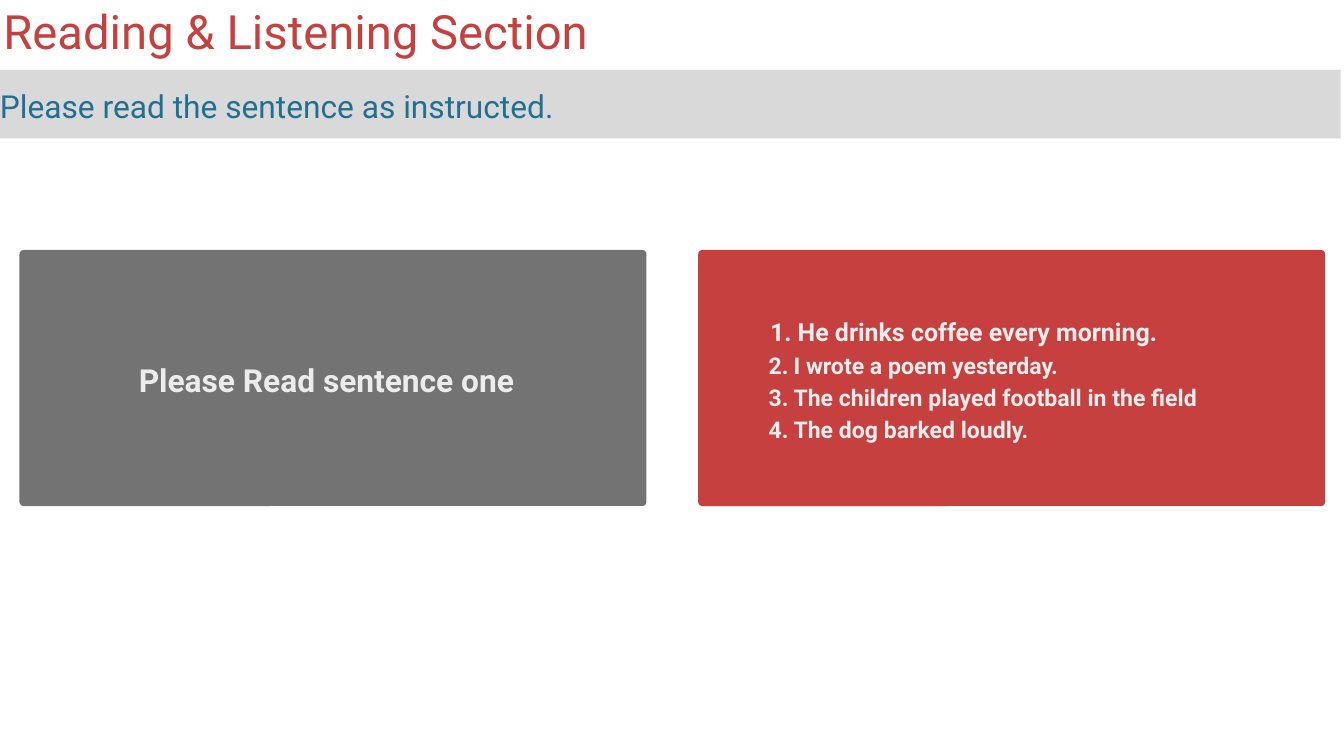
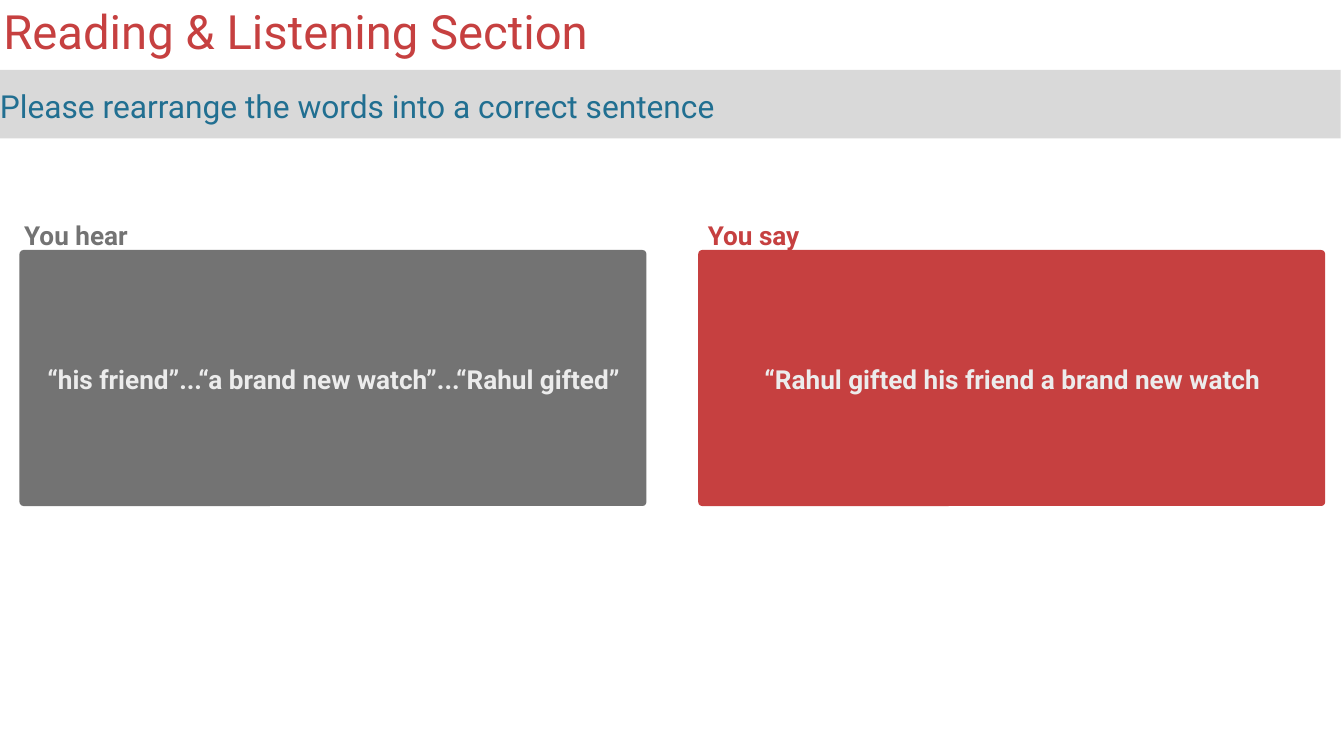
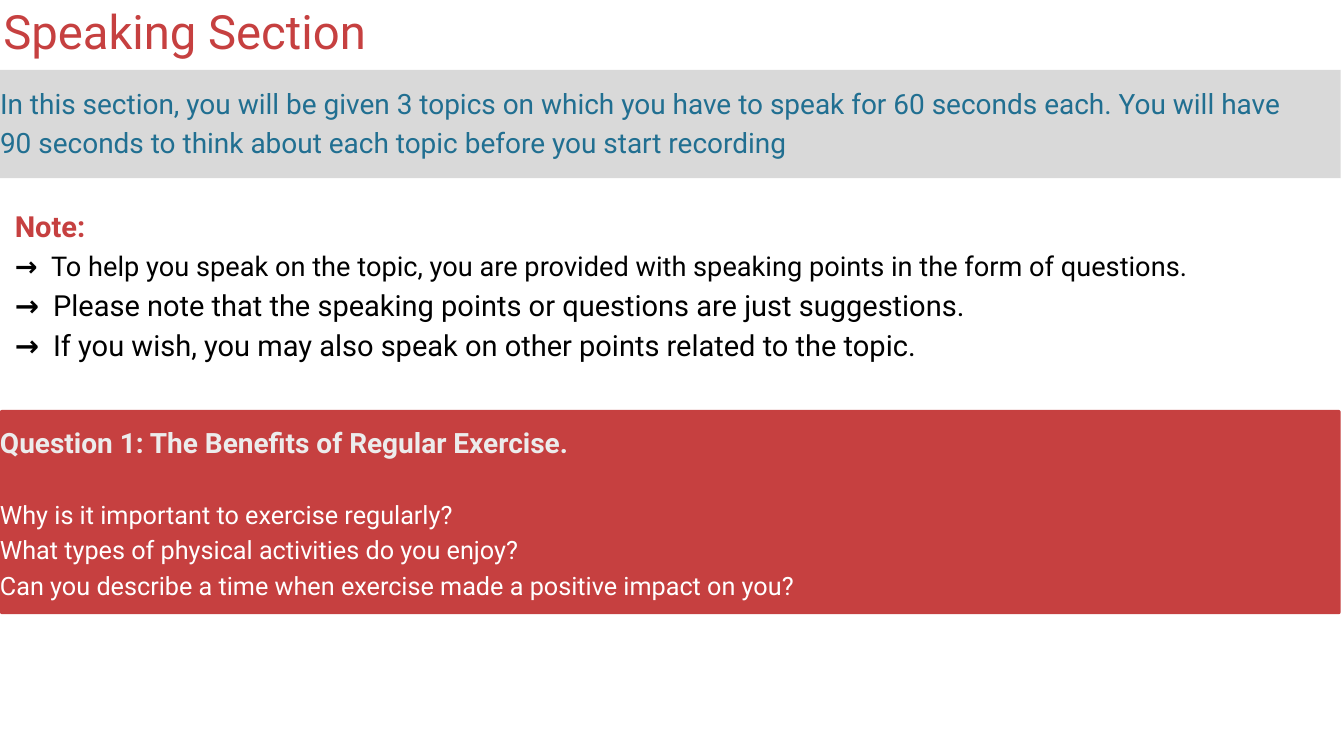
from pptx import Presentation
from pptx.dml.color import RGBColor
from pptx.enum.shapes import MSO_SHAPE
from pptx.enum.text import MSO_AUTO_SIZE, PP_ALIGN
from pptx.oxml.ns import qn
from pptx.util import Pt
from lxml import etree

PX = 9144
FONT = "Roboto"
RECT = MSO_SHAPE.RECTANGLE
ROUNDED = MSO_SHAPE.ROUNDED_RECTANGLE
FIT = MSO_AUTO_SIZE.SHAPE_TO_FIT_TEXT
LEFT = PP_ALIGN.LEFT
CENTER = PP_ALIGN.CENTER
COLORS = {
    "red": "C64040",
    "gray": "737373",
    "band": "D9D9D9",
    "blue": "216F91",
    "pale": "ECECEC",
    "white": "FFFFFF",
    "black": "000000",
}


def add_box(s, kind, box, color, radius=0):
    sp = s.shapes.add_shape(kind, *[v * PX for v in box])
    sp.shadow.inherit = False
    sp.fill.solid()
    sp.fill.fore_color.rgb = RGBColor.from_string(COLORS[color])
    sp.line.fill.background()
    if radius:
        sp.adjustments[0] = radius / min(box[2:])


def add_text(s, box, paragraphs, align=LEFT):
    tf = s.shapes.add_textbox(*[v * PX for v in box]).text_frame
    tf.word_wrap = True
    tf.auto_size = FIT
    tf.margin_left = tf.margin_top = tf.margin_right = tf.margin_bottom = 0
    for i, (spacing, runs) in enumerate(paragraphs):
        p = tf.add_paragraph() if i else tf.paragraphs[0]
        p.alignment = align
        p.line_spacing = Pt(spacing)
        for text, size, color, bold in runs:
            r = p.add_run()
            r.text = text
            r.font.name = FONT
            r.font.size = Pt(size)
            r.font.bold = bold
            r.font.color.rgb = RGBColor.from_string(COLORS[color])
    return tf


prs = Presentation()
prs.slide_width = 2000 * PX
prs.slide_height = 1125 * PX

headers = [
    ("Reading & Listening Section", "Please read the sentence as instructed.",
     102, (0, 119, 1620, 63), 34, 47.6),
    ("Reading & Listening Section", "Please rearrange the words into a correct sentence",
     102, (0, 119, 1620, 63), 34, 47.6),
    ("Speaking Section",
     "In this section, you will be given 3 topics on which you have to speak for 60 seconds each. "
     "You will have 90 seconds to think about each topic before you start recording",
     161, (0, 120, 1918, 115), 30, 42),
]
slides = []
for title, instruction, band_height, box, size, spacing in headers:
    s = prs.slides.add_slide(prs.slide_layouts[6])
    tf = add_text(s, (-30, -10, 1144, 94), [(70.8, [(title, 50.6, "red", False)])])
    tf.margin_left = 35 * PX
    add_box(s, RECT, (0, 104, 1995, band_height), "band")
    add_text(s, box, [(spacing, [(instruction, size, "blue", False)])])
    slides.append(s)
reading, rearranging, speaking = slides

for s in (reading, rearranging):
    for left, color in ((29, "gray"), (1039, "red")):
        add_box(s, ROUNDED, (left, 372, 933, 381), color, 6)

add_text(reading, (-67, 528, 1106, 63),
         [(47.6, [("Please Read sentence one", 34, "pale", True)])], CENTER)
sentences = [
    ("He drinks coffee every morning.", 26.7, 37.3),
    ("I wrote a poem yesterday.", 24.7, 34.6),
    ("The children played football in the field", 24.7, 34.6),
    ("The dog barked loudly.", 24.7, 34.6),
]
tf = add_text(reading, (1115, 464, 923, 194),
              [(spacing, [(text, size, "pale", True)]) for text, size, spacing in sentences])
for i, p in enumerate(tf.paragraphs):
    margin, hang = (66, 37) if i else (72, 41)
    pPr = p._p.get_or_add_pPr()
    pPr.set("marL", str(margin * PX))
    pPr.set("indent", str(-hang * PX))
    etree.SubElement(pPr, qn("a:buFont"), typeface=FONT)
    etree.SubElement(pPr, qn("a:buAutoNum"), type="arabicPeriod")

labels = [
    ("“his friend”...“a brand new watch”...“Rahul gifted”", (-280, 533, 1552, 53), "pale"),
    ("“Rahul gifted his friend a brand new watch", (931, 533, 1150, 53), "pale"),
    ("You hear", (30, 319, 166, 53), "gray"),
    ("You say", (1050, 319, 143, 53), "red"),
]
for text, box, color in labels:
    add_text(rearranging, box, [(39.2, [(text, 28, color, True)])], CENTER)

notes = [
    ("To help you speak on the topic, you are provided with speaking points in the form of questions.",
     29.1, 40.7),
    ("Please note that the speaking points or questions are just suggestions.", 31.1, 43.5),
    ("If you wish, you may also speak on other points related to the topic.", 31.1, 43.5),
]
paragraphs = [(43.5, [("Note:", 31.1, "red", True)])]
for text, size, spacing in notes:
    paragraphs.append((spacing, [("→\t", size, "black", True), (text, size, "black", False)]))
tf = add_text(speaking, (22, 302, 2077, 235), paragraphs)
for p, hang in zip(tf.paragraphs[1:], (54, 57, 57)):
    pPr = p._p.get_or_add_pPr()
    pPr.set("marL", str(hang * PX))
    pPr.set("indent", str(-hang * PX))

add_box(speaking, ROUNDED, (0, 610, 1995, 304), "red", 3)
questions = [
    "Why is it important to exercise regularly?",
    "What types of physical activities do you enjoy?",
    "Can you describe a time when exercise made a positive impact on you?",
]
paragraphs = [(42, [("Question 1: The Benefits of Regular Exercise.", 30, "pale", True)])]
paragraphs += [(37.8, [(text, 27, "white", False)]) for text in questions]
tf = add_text(speaking, (0, 625, 1276, 265), paragraphs)
tf.paragraphs[0].space_after = Pt(37.8)

prs.save("out.pptx")
